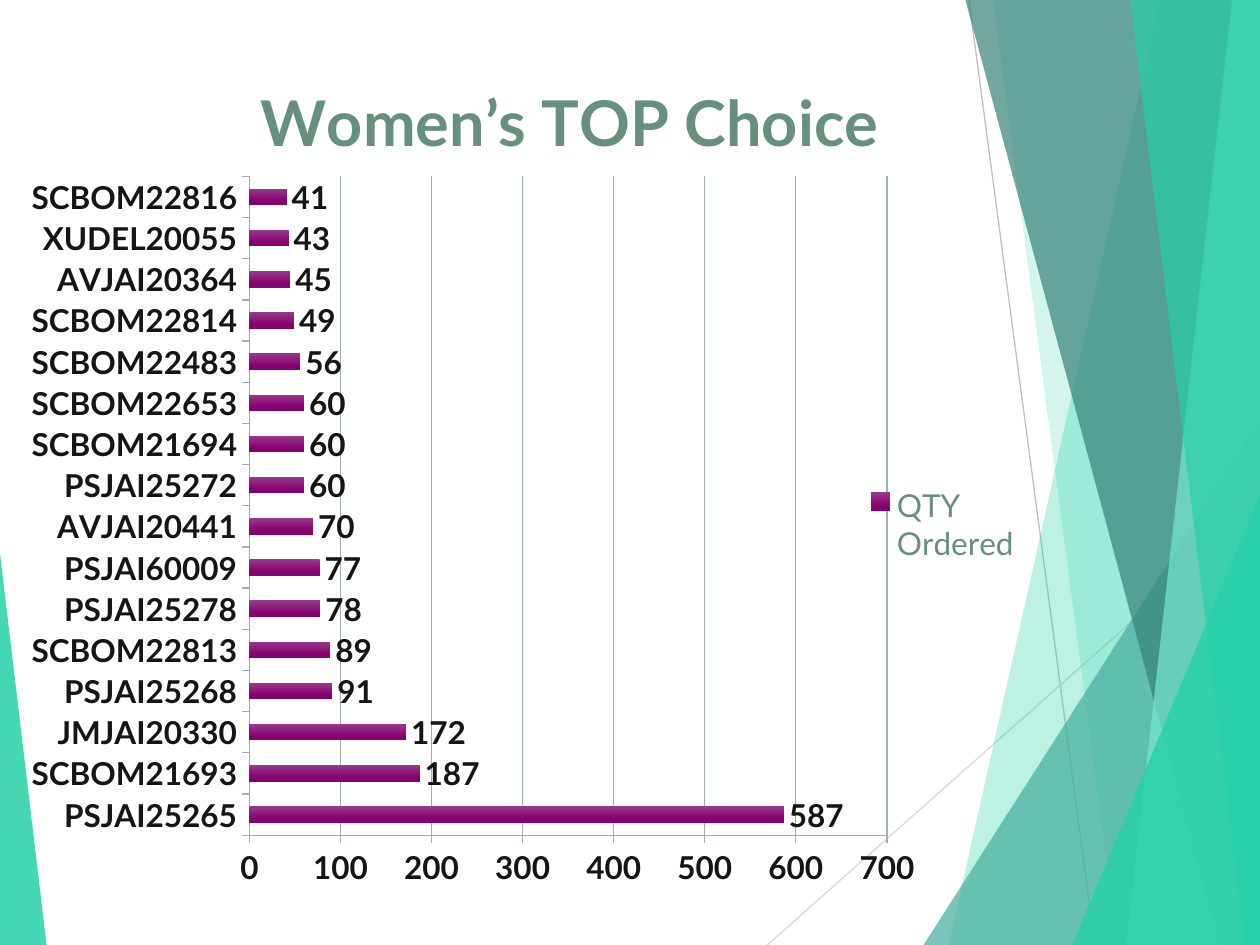
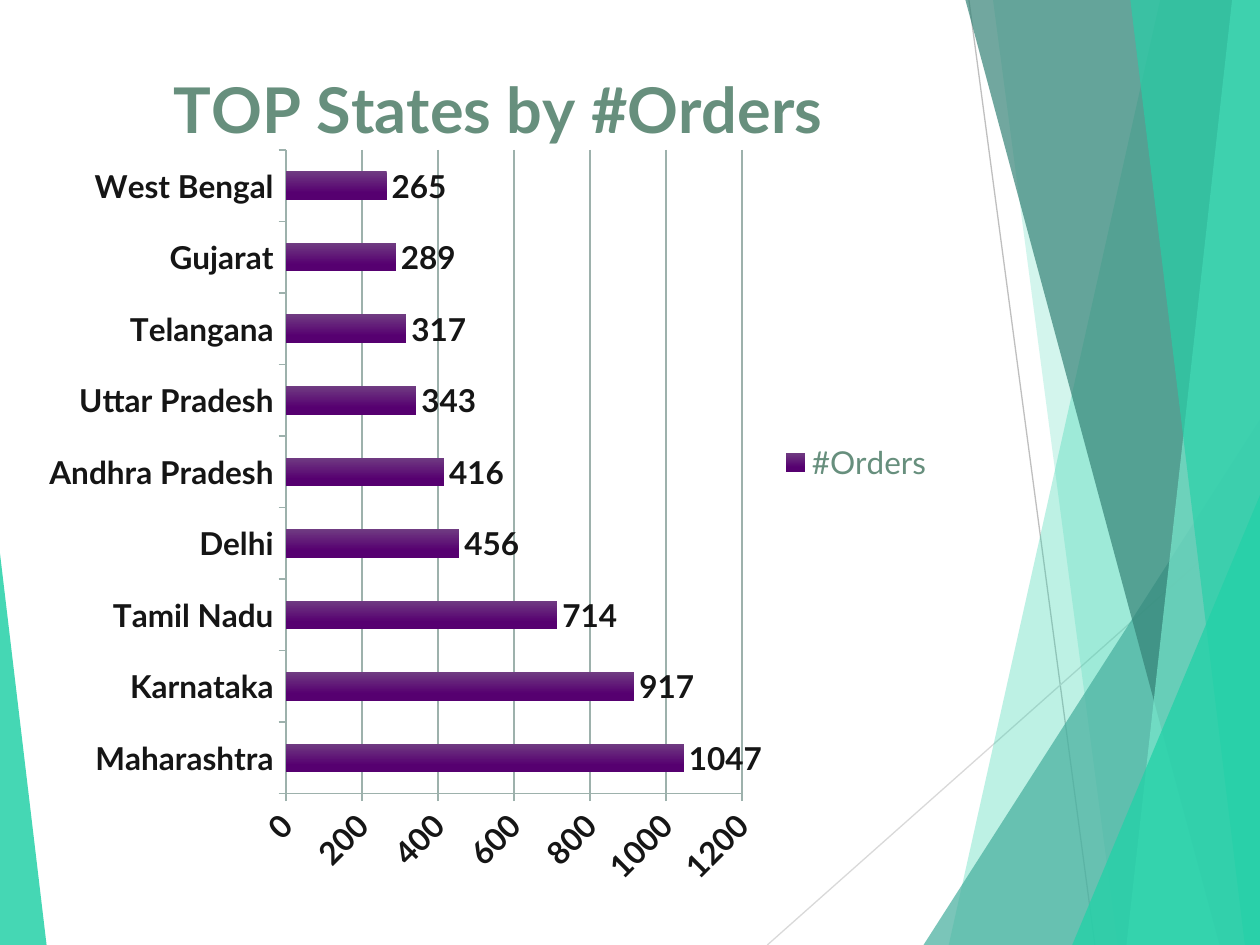
from dataclasses import dataclass

from lxml import etree
from pptx import Presentation
from pptx.chart.data import CategoryChartData
from pptx.dml.color import RGBColor
from pptx.enum.chart import (XL_CHART_TYPE, XL_LABEL_POSITION,
                             XL_LEGEND_POSITION, XL_TICK_MARK)
from pptx.enum.shapes import MSO_CONNECTOR, MSO_SHAPE
from pptx.oxml.ns import qn
from pptx.util import Inches, Pt


@dataclass(frozen=True)
class Theme:
    font: str = "Lato"
    head: int = 36
    body: int = 18
    sage: str = "678F7D"
    ink: str = "151515"
    grid: str = "9DB1AC"
    mint: str = "25D1A8"
    aqua: str = "78E7CD"
    teal: str = "47AF9E"
    pine: str = "358377"
    wide: float = 10
    high: float = 7.5


T = Theme()

# Background bands: top left, top right, bottom right, bottom left, colour, alpha
BANDS = [
    (9.21, 10, 10, 7.53, T.mint, 30),
    (7.88, 10, 10, 8.87, T.mint, 20),
    (7.66, 10, 10, 9.68, T.pine, 70),
    (9.78, 10, 10, 8.94, T.aqua, 70),
    (8.97, 10, 10, 9.88, T.mint, 65),
]

TOPS = {
    "PSJAI25265": 587, "SCBOM21693": 187, "JMJAI20330": 172, "PSJAI25268": 91,
    "SCBOM22813": 89, "PSJAI25278": 78, "PSJAI60009": 77, "AVJAI20441": 70,
    "PSJAI25272": 60, "SCBOM21694": 60, "SCBOM22653": 60, "SCBOM22483": 56,
    "SCBOM22814": 49, "AVJAI20364": 45, "XUDEL20055": 43, "SCBOM22816": 41,
}
STATES = {
    "Maharashtra": 1047, "Karnataka": 917, "Tamil Nadu": 714, "Delhi": 456,
    "Andhra Pradesh": 416, "Uttar Pradesh": 343, "Telangana": 317,
    "Gujarat": 289, "West Bengal": 265,
}


def rgb(code):
    return RGBColor.from_string(code)


def style(font, size=T.body, color=T.ink, bold=True):
    font.name, font.size, font.bold = T.font, Pt(size), bold
    font.color.rgb = rgb(color)


def write(frame, text, **look):
    frame.text = text
    style(frame.paragraphs[0].runs[0].font, **look)


# Background
def paint(shape, color, alpha):
    shape.shadow.inherit = False
    shape.line.fill.background()
    shape.fill.solid()
    shape.fill.fore_color.rgb = rgb(color)
    tone = shape._element.spPr.find(".//" + qn("a:srgbClr"))
    etree.SubElement(tone, qn("a:alpha")).set("val", str(alpha * 1000))


def ray(slide, start, end, color):
    points = [Inches(n) for n in (*start, *end)]
    line = slide.shapes.add_connector(MSO_CONNECTOR.STRAIGHT, *points)
    line.line.color.rgb = rgb(color)
    line.line.width = Pt(0.75)
    etree.SubElement(line._element.spPr, qn("a:effectLst"))


def band(slide, spec):
    *edges, color, alpha = spec
    rows = (-0.01, -0.01, T.high, T.high)
    first, *rest = [(Inches(x), Inches(y)) for x, y in zip(edges, rows)]
    path = slide.shapes.build_freeform(*first)
    path.add_line_segments(rest)
    paint(path.convert_to_shape(), color, alpha)


def wedge(slide, left, top, width, apex, color, alpha):
    box = [Inches(n) for n in (left, top, width, T.high - top)]
    shape = slide.shapes.add_shape(MSO_SHAPE.ISOSCELES_TRIANGLE, *box)
    shape.adjustments[0] = apex
    paint(shape, color, alpha)


def backdrop(slide):
    ray(slide, (7.69, 0), (8.69, T.high), "BFBFBF")
    ray(slide, (T.wide, 4.03), (6.09, T.high), "D9D9D9")
    for spec in BANDS[:2]:
        band(slide, spec)
    wedge(slide, 7.33, 3.33, 2.67, 1, T.teal, 72)
    for spec in BANDS[2:]:
        band(slide, spec)
    wedge(slide, 8.51, 3.93, 1.49, 1, T.mint, 80)
    wedge(slide, 0, 4.39, 0.37, 0, T.mint, 85)


# Chart
def place(part, box, size, after=None, inner=False):
    """Set a chart part's box, in inches from the chart's top left corner."""
    old = part.find(qn("c:layout"))
    if old is not None:
        part.remove(old)
    layout = etree.Element(qn("c:layout"))
    manual = etree.SubElement(layout, qn("c:manualLayout"))

    def add(tag, value):
        etree.SubElement(manual, qn("c:" + tag)).set("val", str(value))

    if inner:
        add("layoutTarget", "inner")
    add("xMode", "edge")
    add("yMode", "edge")
    for tag, length, whole in zip("xywh", box, size * 2):
        add(tag, length / whole)
    spot = 0 if after is None else part.index(part.find(qn(after))) + 1
    part.insert(spot, layout)


def rule(axis):
    axis.major_tick_mark = XL_TICK_MARK.OUTSIDE
    axis.minor_tick_mark = XL_TICK_MARK.NONE
    axis.format.line.color.rgb = rgb(T.grid)
    axis.format.line.width = Pt(0.75)
    style(axis.tick_labels.font)


def axes(chart, top, step, turn):
    rule(chart.category_axis)
    chart.category_axis.has_major_gridlines = False
    scale = chart.value_axis
    rule(scale)
    scale.minimum_scale, scale.maximum_scale, scale.major_unit = 0, top, step
    scale.has_major_gridlines = True
    scale.major_gridlines.format.line.color.rgb = rgb(T.grid)
    scale.major_gridlines.format.line.width = Pt(0.75)
    body = scale._element.find(qn("c:txPr")).find(qn("a:bodyPr"))
    body.set("rot", str(turn * 60000))
    body.set("vert", "horz")


def bars(chart, tones):
    plot = chart.plots[0]
    plot.gap_width, plot.vary_by_categories = 150, False
    fill = plot.series[0].format.fill
    fill.gradient()
    fill.gradient_angle = 270
    for stop, tone, spot in zip(fill.gradient_stops, tones, (0, 0.75)):
        stop.color.rgb, stop.position = rgb(tone), spot
    plot.has_data_labels = True
    labels = plot.data_labels
    labels.show_value = True
    labels.position = XL_LABEL_POSITION.OUTSIDE_END
    style(labels.font)


def ranking(slide, box, title, name, data, tones, scale, spots):
    source = CategoryChartData()
    source.categories = list(data)
    source.add_series(name, list(data.values()))
    chart = slide.shapes.add_chart(XL_CHART_TYPE.BAR_CLUSTERED,
                                   *map(Inches, box), source).chart
    style(chart.font, color=T.sage, bold=False)
    axes(chart, *scale)
    bars(chart, tones)

    # Title and legend
    chart.has_title = True
    write(chart.chart_title.text_frame, title, size=T.head, color=T.sage)
    chart.has_legend = True
    chart.legend.position = XL_LEGEND_POSITION.RIGHT
    chart.legend.include_in_layout = False
    style(chart.legend.font, color=T.sage, bold=False)

    # Places within the chart
    size = box[2:]
    space = chart._chartSpace
    area = space.find(qn("c:chart"))
    place(chart.chart_title._element, spots["title"], size, "c:tx")
    place(area.find(qn("c:plotArea")), spots["plot"], size, inner=True)
    place(chart.legend._element, spots["legend"], size, "c:legendPos")

    # Clear ground, so that the bands show through
    ground = etree.Element(qn("c:spPr"))
    etree.SubElement(ground, qn("a:noFill"))
    etree.SubElement(etree.SubElement(ground, qn("a:ln")), qn("a:noFill"))
    area.addnext(ground)


def main():
    deck = Presentation()
    deck.slide_width, deck.slide_height = Inches(T.wide), Inches(T.high)
    charts = [
        dict(box=(0.08, 0.17, 8.73, 7), title="Women’s TOP Choice",
             name="QTY Ordered", data=TOPS, tones=("983A8A", "86006F"),
             scale=(700, 100, 0),
             spots=dict(title=(1.9, 0.35), plot=(1.9, 1.23, 5.06, 5.23),
                        legend=(6.75, 3.64, 1.3, 0.7))),
        dict(box=(0.25, 0.17, 7.25, 7), title="TOP States by #Orders",
             name="#Orders", data=STATES, tones=("703C82", "560070"),
             scale=(1200, 200, -45),
             spots=dict(title=(1.04, 0.25), plot=(2.02, 1.02, 3.62, 5.11),
                        legend=(5.92, 3.34, 1.25, 0.32))),
    ]
    for chart in charts:
        slide = deck.slides.add_slide(deck.slide_layouts[6])
        backdrop(slide)
        ranking(slide, **chart)
    deck.save("out.pptx")


if __name__ == "__main__":
    main()
